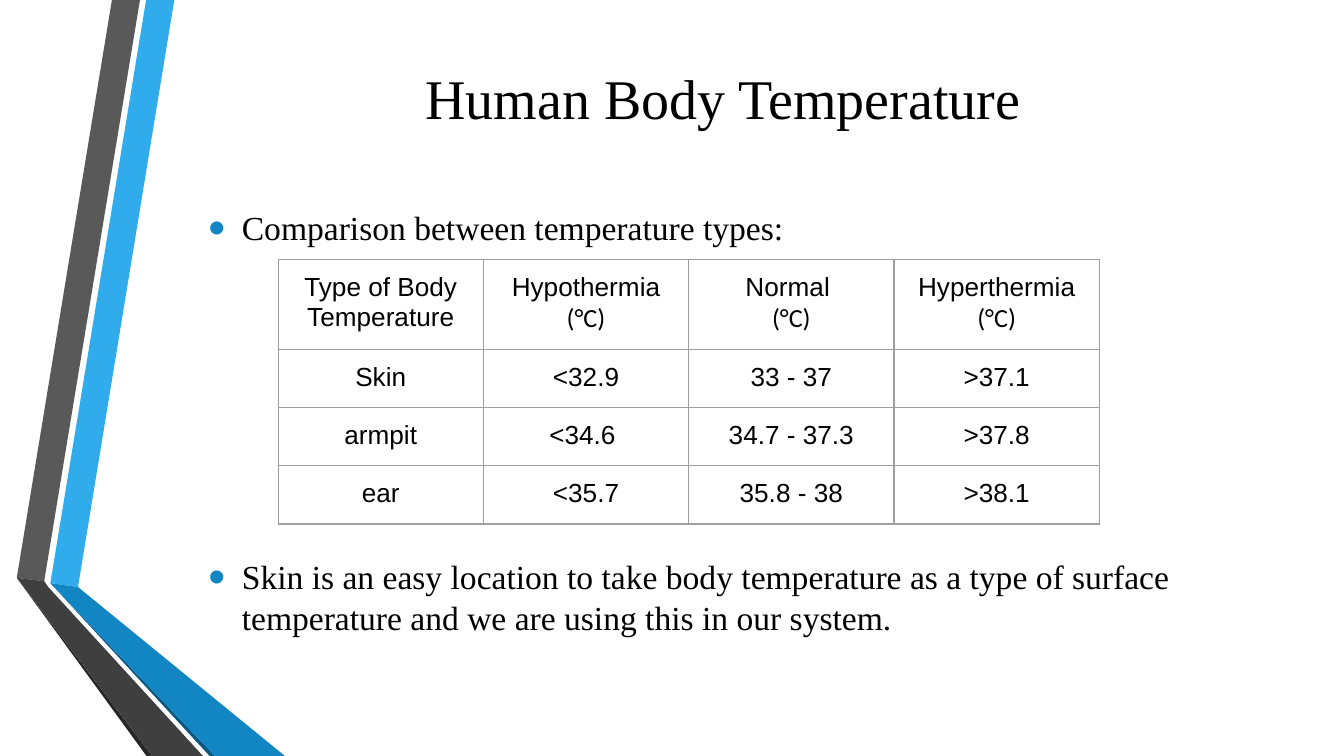
"""Build a slide that compares body temperature types in a table."""
from lxml import etree
from pptx import Presentation
from pptx.dml.color import RGBColor
from pptx.enum.text import MSO_ANCHOR, PP_ALIGN
from pptx.oxml.ns import qn
from pptx.util import Pt

CENTER, LEFT = PP_ALIGN.CENTER, PP_ALIGN.LEFT
TOP, MIDDLE = MSO_ANCHOR.TOP, MSO_ANCHOR.MIDDLE
BLACK = RGBColor(0x00, 0x00, 0x00)
SKY = RGBColor(0x30, 0xAC, 0xEC)
BLUE = RGBColor(0x11, 0x86, 0xC3)
NAVY = RGBColor(0x0B, 0x59, 0x82)
GRAY = RGBColor(0x59, 0x59, 0x59)
DARK = RGBColor(0x3F, 0x3F, 0x3F)
COAL = RGBColor(0x26, 0x26, 0x26)
RULE = RGBColor(0x9E, 0x9E, 0x9E)

TITLE = {"name": "Times New Roman", "size": Pt(30)}
BODY = {"name": "Times New Roman", "size": Pt(18)}
CELL = {"name": "Arial", "size": Pt(14)}
UNIT = {"name": "Calibri", "size": Pt(14)}
SIDES = ("left", "right", "top", "bottom")

BENDS = [
    (SKY, [(27, 312.4), (41.8, 314.5), (93.4, 0), (78.3, 0)]),
    (GRAY, [(75, 0), (60, 0), (9, 309.6), (23.7, 311.4)]),
    (COAL, [(9, 309.6), (78.5, 405), (81.4, 405)]),
    (NAVY, [(27, 312.4), (112.3, 405), (115.2, 405)]),
    (BLUE, [(27, 312.4), (115.2, 405), (152.6, 405), (41.8, 314.5)]),
    (DARK, [(9, 309.6), (81.4, 405), (108.7, 405), (25.9, 314.6), (23.7, 311.4)]),
]
POINTS = [
    "Comparison between temperature types:",
    "Skin is an easy location to take body temperature as a type of surface "
    "temperature and we are using this in our system.",
]
ROWS = [
    ["Type of Body Temperature", "Hypothermia\n(°C)", "Normal \n(°C)", "Hyperthermia\n(°C)"],
    ["Skin", "<32.9", "33 - 37", ">37.1"],
    ["armpit", "<34.6 ", "34.7 - 37.3", ">37.8"],
    ["ear", "<35.7", "35.8 - 38", ">38.1"],
]
HEIGHTS = [47, 30.5, 31, 30.5]


class Deck:
    """Hold the style and the current slide."""

    def __init__(self):
        self.prs = Presentation()
        self.prs.slide_width, self.prs.slide_height = Pt(720), Pt(405)
        self.slide = self.prs.slides.add_slide(self.prs.slide_layouts[6])
        self.shapes = self.slide.shapes

    def label(self, para, text, form, align):
        para.alignment = align
        run = para.add_run()
        run.text = text
        for key, value in form.items():
            setattr(run.font, key, value)
        run.font.color.rgb = BLACK

    def bend(self, color, dots):
        first, *rest = [(Pt(x), Pt(y)) for x, y in dots]
        pen = self.shapes.build_freeform(*first)
        pen.add_line_segments(rest)
        shape = pen.convert_to_shape()
        shape.shadow.inherit = False
        shape.fill.solid()
        shape.fill.fore_color.rgb = color
        shape.line.fill.background()

    def text(self, box, lines, form, align, anchor):
        frame = self.shapes.add_textbox(*map(Pt, box)).text_frame
        frame.word_wrap = True
        frame.vertical_anchor = anchor
        for side in SIDES:
            setattr(frame, f"margin_{side}", Pt(5))
        for i, line in enumerate(lines):
            para = frame.add_paragraph() if i else frame.paragraphs[0]
            self.label(para, line, form, align)
        return frame.paragraphs

    def bullet(self, para):
        props = para._p.get_or_add_pPr()
        props.set("marL", str(Pt(36)))
        props.set("indent", str(-Pt(18)))
        color = etree.SubElement(props, qn("a:buClr"))
        etree.SubElement(color, qn("a:srgbClr"), val=str(BLUE))
        etree.SubElement(props, qn("a:buSzPct"), val="144000")
        etree.SubElement(props, qn("a:buFont"), typeface="Arial")
        etree.SubElement(props, qn("a:buChar"), char="•")

    def border(self, cell):
        props = cell._tc.get_or_add_tcPr()
        for side in "LRTB":
            line = etree.SubElement(props, qn(f"a:ln{side}"), w=str(Pt(0.75)))
            fill = etree.SubElement(line, qn("a:solidFill"))
            etree.SubElement(fill, qn("a:srgbClr"), val=str(RULE))

    def cell(self, cell, text):
        for side in SIDES:
            setattr(cell, f"margin_{side}", Pt(7.2))
        self.border(cell)
        cell.fill.background()
        frame = cell.text_frame
        for i, line in enumerate(text.split("\n")):
            para = frame.add_paragraph() if i else frame.paragraphs[0]
            self.label(para, line, UNIT if i else CELL, CENTER)

    def table(self, left, top, width, rows, heights):
        count = len(rows[0])
        box = (left, top, width * count, sum(heights))
        grid = self.shapes.add_table(len(rows), count, *map(Pt, box)).table
        grid.first_row = grid.horz_banding = False
        for col in grid.columns:
            col.width = Pt(width)
        for r, (row, height) in enumerate(zip(rows, heights)):
            grid.rows[r].height = Pt(height)
            for c, text in enumerate(row):
                self.cell(grid.cell(r, c), text)


def main():
    deck = Deck()
    for color, dots in BENDS:
        deck.bend(color, dots)
    deck.text((91.4, 0, 592, 103.7), ["Human Body Temperature"], TITLE, CENTER, MIDDLE)
    paras = deck.text((88.6, 106, 592, 238), POINTS, BODY, LEFT, TOP)
    paras[0].space_after = Pt(165.5)
    for para in paras:
        deck.bullet(para)
    deck.table(149, 139, 110, ROWS, HEIGHTS)
    deck.prs.save("out.pptx")


if __name__ == "__main__":
    main()
